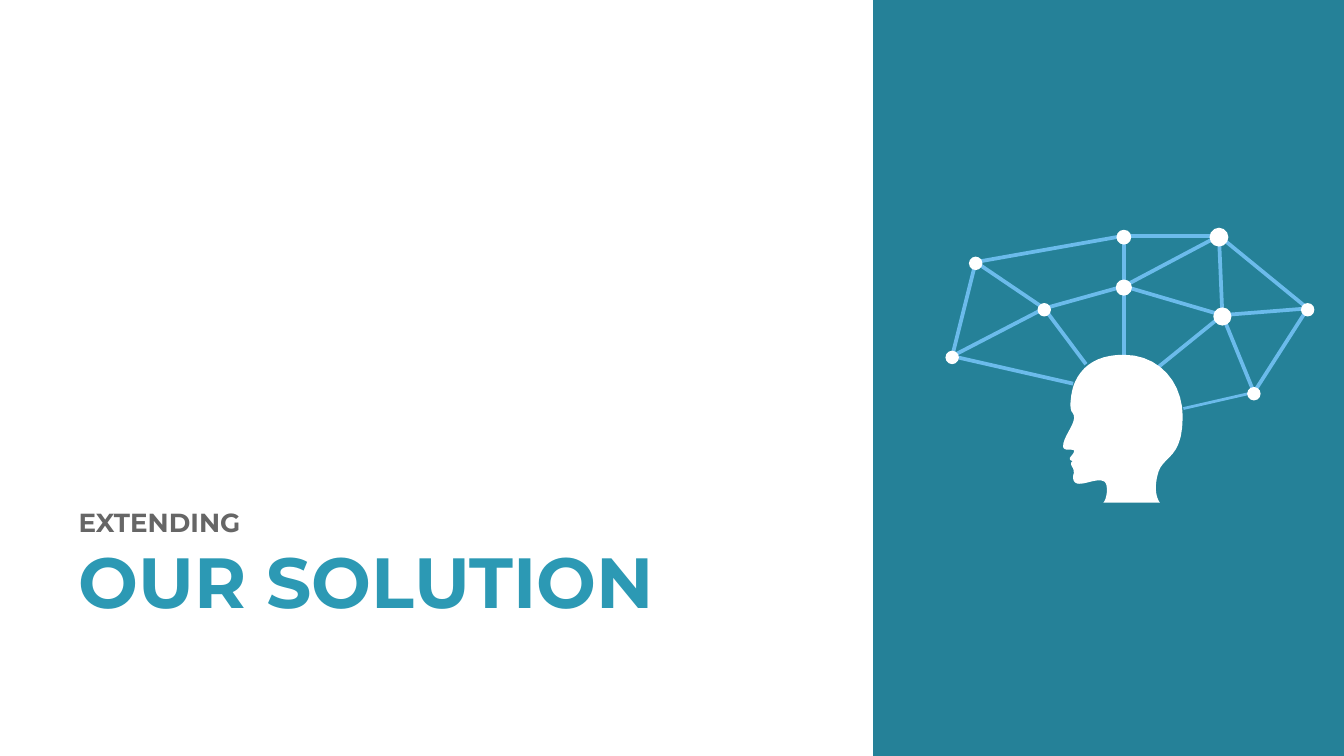
from copy import deepcopy
from dataclasses import dataclass

from lxml.etree import SubElement
from pptx import Presentation
from pptx.dml.color import RGBColor
from pptx.enum.shapes import MSO_CONNECTOR, MSO_SHAPE
from pptx.oxml.ns import qn
from pptx.util import Inches, Pt


@dataclass(frozen=True)
class Theme:
    """Colours, font, type sizes and line widths."""
    font: str = "Montserrat"
    gray: str = "666666"
    blue: str = "2C99B4"
    teal: str = "258198"
    sky: str = "6BBBEB"
    white: str = "FFFFFF"
    small: float = 14
    large: float = 38
    thick: float = 2
    thin: float = 1.5


def write(para, text, font, size, color, bold=True, wrap=False):
    """Add a formatted run, with a line break after it if wrap is set."""
    run = para.add_run()
    run.text = text
    run.font.name = font
    run.font.size = Pt(size)
    run.font.bold = bold
    run.font.color.rgb = RGBColor.from_string(color)
    if wrap:
        para.add_line_break()
        para._p[-1].append(deepcopy(run._r.rPr))


def curve(start, bends, steps=10):
    """Turn joined cubic bends into a list of points."""
    points = [start]
    for x1, y1, x2, y2, x3, y3 in bends:
        x0, y0 = points[-1]
        for step in range(1, steps + 1):
            t = step / steps
            u = 1 - t
            a, b, c, d = u**3, 3 * u * u * t, 3 * u * t * t, t**3
            points.append((a * x0 + b * x1 + c * x2 + d * x3,
                           a * y0 + b * y1 + c * y2 + d * y3))
    return points


class Deck:
    """Draws on one slide with a grid of 100 columns and square rows."""

    def __init__(self, theme, width=10, ratio=9 / 16):
        """Open a blank slide of the given width and ratio."""
        self.theme = theme
        self.file = Presentation()
        self.file.slide_width = Inches(width)
        self.file.slide_height = Inches(width * ratio)
        self.cell = self.file.slide_width / 100
        self.rows = self.file.slide_height / self.cell
        self.slide = self.file.slides.add_slide(self.file.slide_layouts[6])
        self.shapes = self.slide.shapes

    def grid(self, *cells):
        """Turn grid cells into lengths."""
        return [round(cell * self.cell) for cell in cells]

    def paint(self, shape, color):
        """Give a shape a plain fill."""
        shape.shadow.inherit = False
        shape.fill.solid()
        shape.fill.fore_color.rgb = RGBColor.from_string(color)
        shape.line.fill.background()

    def block(self, kind, box, color):
        """Draw a preset shape."""
        self.paint(self.shapes.add_shape(kind, *self.grid(*box)), color)

    def dot(self, x, y, size, color):
        """Draw a disc about its centre."""
        self.block(MSO_SHAPE.OVAL, (x - size / 2, y - size / 2, size, size), color)

    def link(self, start, end, color, width):
        """Draw a straight line."""
        line = self.shapes.add_connector(
            MSO_CONNECTOR.STRAIGHT, *self.grid(*start, *end))
        line.line.color.rgb = RGBColor.from_string(color)
        line.line.width = Pt(width)
        SubElement(line._element.spPr, qn("a:effectLst"))

    def form(self, points, color):
        """Draw a closed outline."""
        first, *rest = [self.grid(*point) for point in points]
        pen = self.shapes.build_freeform(*first)
        pen.add_line_segments(rest, close=True)
        self.paint(pen.convert_to_shape(), color)

    def title(self, box, lines):
        """Write lines of text, size and colour in one paragraph."""
        frame = self.shapes.add_textbox(*self.grid(*box)).text_frame
        frame.word_wrap = True
        frame.margin_left = frame.margin_right = Inches(0.04)
        frame.margin_top = frame.margin_bottom = Inches(0.02)
        for spot, (text, size, color) in enumerate(lines, 1):
            write(frame.paragraphs[0], text, font=self.theme.font, size=size,
                  color=color, wrap=spot < len(lines))


NODES = {
    "west": (70.85, 26.5, 1), "crest": (72.6, 19.5, 1),
    "left": (77.7, 22.95, 1), "mid": (83.62, 21.3, 1.2),
    "top": (83.62, 17.55, 1.1), "peak": (90.7, 17.55, 1.4),
    "right": (90.95, 23.45, 1.35), "east": (97.3, 22.95, 1),
    "low": (93.3, 29.2, 1),
}
EDGES = ("low east", "low right", "right east", "right peak", "peak east",
         "top peak", "mid peak", "left mid", "crest top", "top mid",
         "crest left", "west left", "west crest", "mid right")
ROOTS = {"right": (86.2, 27.3), "mid": (83.62, 26.6),
         "left": (80.8, 27.1), "west": (79.85, 28.55)}
CROWN = (83.6, 26.4)
HEAD = (
    (81.8, 26.4, 80.6, 27.1, 80, 28.4),
    (79.7, 29, 79.5, 30.5, 79.8, 30.7),
    (80.3, 31.3, 79.1, 32.4, 79.1, 33.2),
    (79.1, 33.6, 79.7, 33.4, 79.9, 33.5),
    (80, 33.7, 79.6, 34, 79.6, 34.1),
    (79.6, 34.3, 79.8, 34.3, 79.9, 34.3),
    (79.9, 34.3, 79.7, 34.3, 79.7, 34.5),
    (79.7, 34.8, 79.9, 34.7, 79.9, 35.2),
    (79.8, 35.5, 79.8, 36, 80.3, 36),
    (80.9, 36, 81.6, 35.6, 82.1, 35.8),
    (82.5, 35.9, 82.4, 37.1, 82.1, 37.4),
    (86.3, 37.4, 86.3, 37.4, 86.3, 37.4),
    (86.3, 37.4, 85.7, 36.7, 86.2, 35.1),
    (86.6, 33.9, 88, 34.1, 88, 31),
    (88, 28.5, 86.3, 26.4, 83.6, 26.4),
)


def main():
    """Build and save the slide."""
    theme = Theme()
    deck = Deck(theme)
    deck.title((5.45, 37.45, 53.1, 10.5),
               [("EXTENDING", theme.small, theme.gray),
                ("OUR SOLUTION", theme.large, theme.blue)])
    deck.block(MSO_SHAPE.RECTANGLE, (64.97, 0, 35.03, deck.rows), theme.teal)
    for edge in EDGES:
        start, end = (NODES[name][:2] for name in edge.split())
        deck.link(start, end, theme.sky, theme.thick)
    for name, root in ROOTS.items():
        deck.link(NODES[name][:2], root, theme.sky, theme.thick)
    deck.link(NODES["low"][:2], (88.05, 30.4), theme.sky, theme.thin)
    deck.form(curve(CROWN, HEAD), theme.white)
    for x, y, size in NODES.values():
        deck.dot(x, y + 0.1, size, theme.white)
    deck.file.save("out.pptx")


if __name__ == "__main__":
    main()
